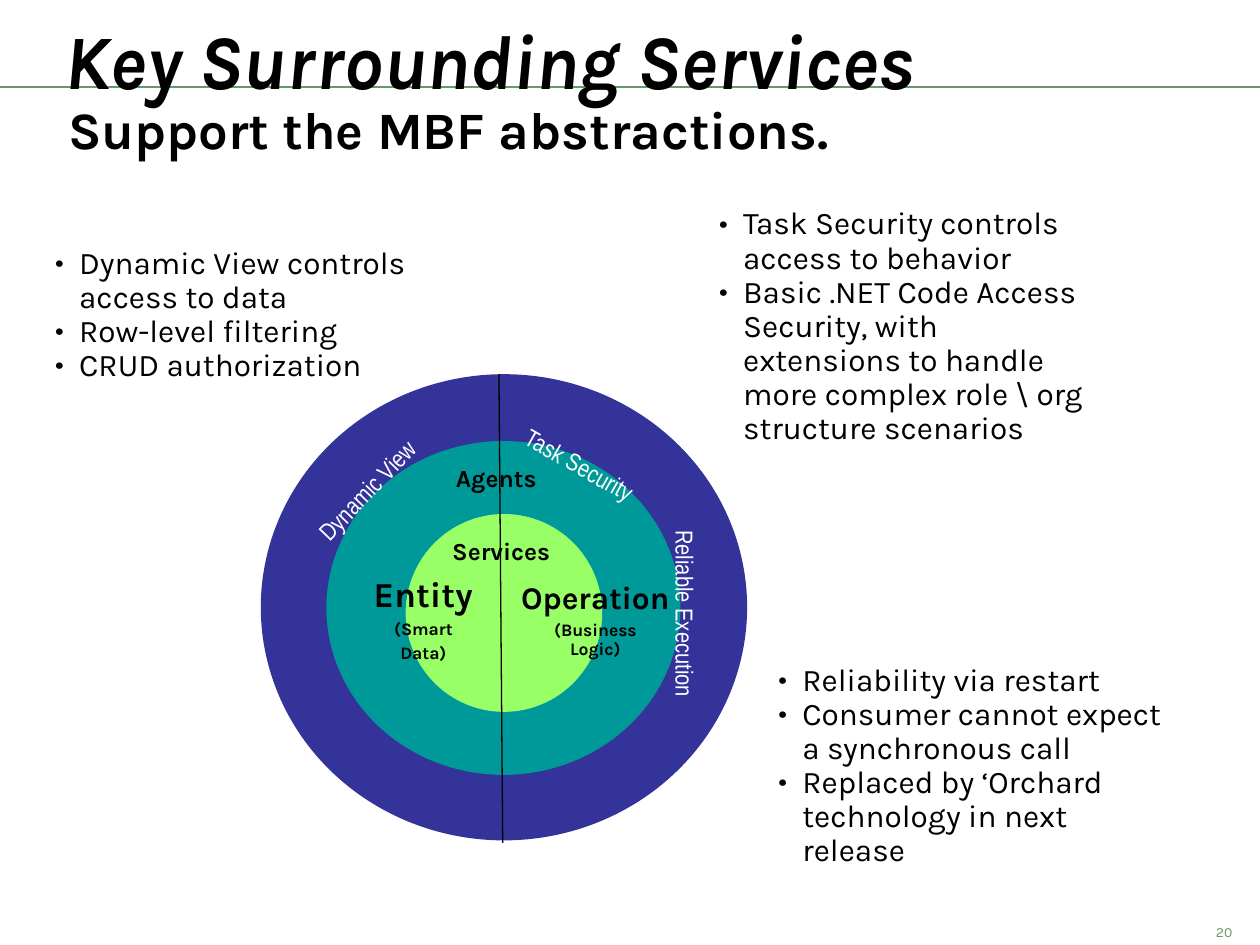
import pptx
import pptx.util
import pptx.dml.color
import pptx.enum.shapes
import pptx.enum.text
import pptx.oxml.ns
from lxml import etree

COL = pptx.util.Inches(10) // 100
ROW = pptx.util.Inches(7.5) // 75
ALIGN = pptx.enum.text.PP_ALIGN
HANG = pptx.util.Inches(0.19)


def tint(code):
    """Turn a hex string into a colour."""
    return pptx.dml.color.RGBColor.from_string(code)


def span(box):
    """Turn columns and rows into lengths."""
    return [round(n * unit) for n, unit in zip(box, (COL, ROW) * 2)]


def within(box, part):
    """Move a part from its region's corner to the slide."""
    return (box[0] + part[0], box[1] + part[1], *part[2:])


def add_tag(root, name, **attrs):
    """Append a drawing element."""
    return etree.SubElement(root, pptx.oxml.ns.qn(name), attrs)


def write(page, box, lines, size, color="000000", face="Karla", bold=False,
          slant=False, align=ALIGN.LEFT, gap=None, wrap=True, inset=True,
          turn=0, dots=False):
    """Place a text box; a line is text or (text, size, space before)."""
    shape = page.shapes.add_textbox(*span(box))
    shape.rotation = turn
    frame = shape.text_frame
    frame.word_wrap = wrap
    if not inset:
        frame.margin_left = frame.margin_right = 0
        frame.margin_top = frame.margin_bottom = 0
    for i, line in enumerate(lines):
        text, points, before = (line, size, 0) if isinstance(line, str) else line
        para = frame.paragraphs[0] if i == 0 else frame.add_paragraph()
        para.text = text
        para.alignment = align
        if gap:
            para.line_spacing = gap
        if before:
            para.space_before = pptx.util.Pt(before)
        if dots:
            props = para._p.get_or_add_pPr()
            props.set("marL", str(HANG))
            props.set("indent", str(-HANG))
            add_tag(add_tag(props, "a:buClr"), "a:srgbClr", val=color)
            add_tag(props, "a:buFont", typeface=face)
            add_tag(props, "a:buChar", char="•")
        font = para.font
        font.name, font.size = face, pptx.util.Pt(points)
        font.bold, font.italic = bold, slant
        font.color.rgb = tint(color)
    return frame


def rule(page, start, end, color, width):
    """Draw a straight line between two grid points."""
    line = page.shapes.add_connector(
        pptx.enum.shapes.MSO_CONNECTOR.STRAIGHT, *span(start + end))
    line.line.color.rgb = tint(color)
    line.line.width = pptx.util.Pt(width)
    add_tag(line._element.spPr, "a:effectLst")


def disc(page, box, color):
    """Draw one filled ring of the wheel."""
    shape = page.shapes.add_shape(
        pptx.enum.shapes.MSO_SHAPE.OVAL, *span(box))
    shape.shadow.inherit = False
    shape.fill.solid()
    shape.fill.fore_color.rgb = tint(color)
    shape.line.fill.background()


def arc(page, mid, turn, name):
    """Centre a turned one-line label on a point of the rim."""
    wide, tall = 18, 3
    box = (mid[0] - wide / 2, mid[1] - tall / 2, wide, tall)
    frame = write(page, box, [name], 14, "FFFFFF", "Arial Narrow",
                  align=ALIGN.CENTER, inset=False, turn=turn)
    frame.vertical_anchor = pptx.enum.text.MSO_ANCHOR.MIDDLE


def head(page, box):
    """Place the rule, title and subtitle."""
    rule(page, (0, 6.9), (100, 6.9), "669966", 1)
    write(page, within(box, (0, 0, 86.6, 7.5)), ["Key Surrounding Services"],
          44, bold=True, slant=True, inset=False)
    write(page, within(box, (0.3, 6.7, 86.6, 4)),
          ["Support the MBF abstractions."], 30, bold=True, inset=False)


def wheel(page, box):
    """Draw the rings with their labels."""
    rings = [((0, 0, 38.6, 37), "333399"),
             ((5.2, 5.3, 28.1, 26.5), "009999"),
             ((11.5, 11.1, 15.6, 15.7), "99FF66")]
    for part, color in rings:
        disc(page, within(box, part), color)
    for part, name in [((14.5, 6.8, 8.8, 3.1), "Agents"),
                       ((14.2, 12.6, 9.9, 3.1), "Services")]:
        write(page, within(box, part), [name], 14, bold=True, gap=0.9, wrap=False)
    rule(page, within(box, (18.9, 0)), within(box, (19.2, 37.2)), "000000", 0.75)
    halves = [((7.8, 15.6, 10.2, 7.9), 20,
               ["Entity", ("(Smart", 10, 3.1), ("Data)", 10, 3.1)]),
              ((19.2, 16, 14.7, 7.2), 18,
               ["Operation", ("(Business", 10, 3.1), ("Logic)", 10, 0)])]
    for part, size, lines in halves:
        write(page, within(box, part), lines, size, bold=True,
              align=ALIGN.CENTER, gap=0.9, wrap=False)
    for mid, turn, name in [((8.4, 9.2), 313.9, "Dynamic View"),
                            ((25.3, 7.2), 29.5, "Task Security"),
                            ((33.7, 19), 90, "Reliable Execution")]:
        arc(page, within(box, mid), turn, name)


def notes(page, box, lines):
    """Place a bulleted list beside the wheel."""
    write(page, box, lines, 18, gap=0.9, dots=True)


def foot(page, box):
    """Place the page number."""
    write(page, box, ["20"], 8, "669966", align=ALIGN.RIGHT)


def main():
    """Build and save the slide."""
    deck = pptx.Presentation()
    deck.slide_width, deck.slide_height = 100 * COL, 75 * ROW
    page = deck.slides.add_slide(deck.slide_layouts[6])
    head(page, (5.1, 1, 86.9, 10.7))
    wheel(page, (20.7, 29.7, 38.6, 37.2))
    notes(page, (3.4, 19.1, 30, 14.5), [
        "Dynamic View controls access to data",
        "Row-level filtering",
        "CRUD authorization"])
    notes(page, (56.1, 16, 32.4, 23.3), [
        "Task Security controls access to behavior",
        "Basic .NET Code Access Security, with extensions to handle "
        "more complex role \\ org structure scenarios"])
    notes(page, (60.8, 52.2, 33.1, 19.9), [
        "Reliability via restart",
        "Consumer cannot expect a synchronous call",
        "Replaced by ‘Orchard technology in next release"])
    foot(page, (75.5, 72.8, 23.3, 5.2))
    deck.save("out.pptx")


if __name__ == "__main__":
    main()
